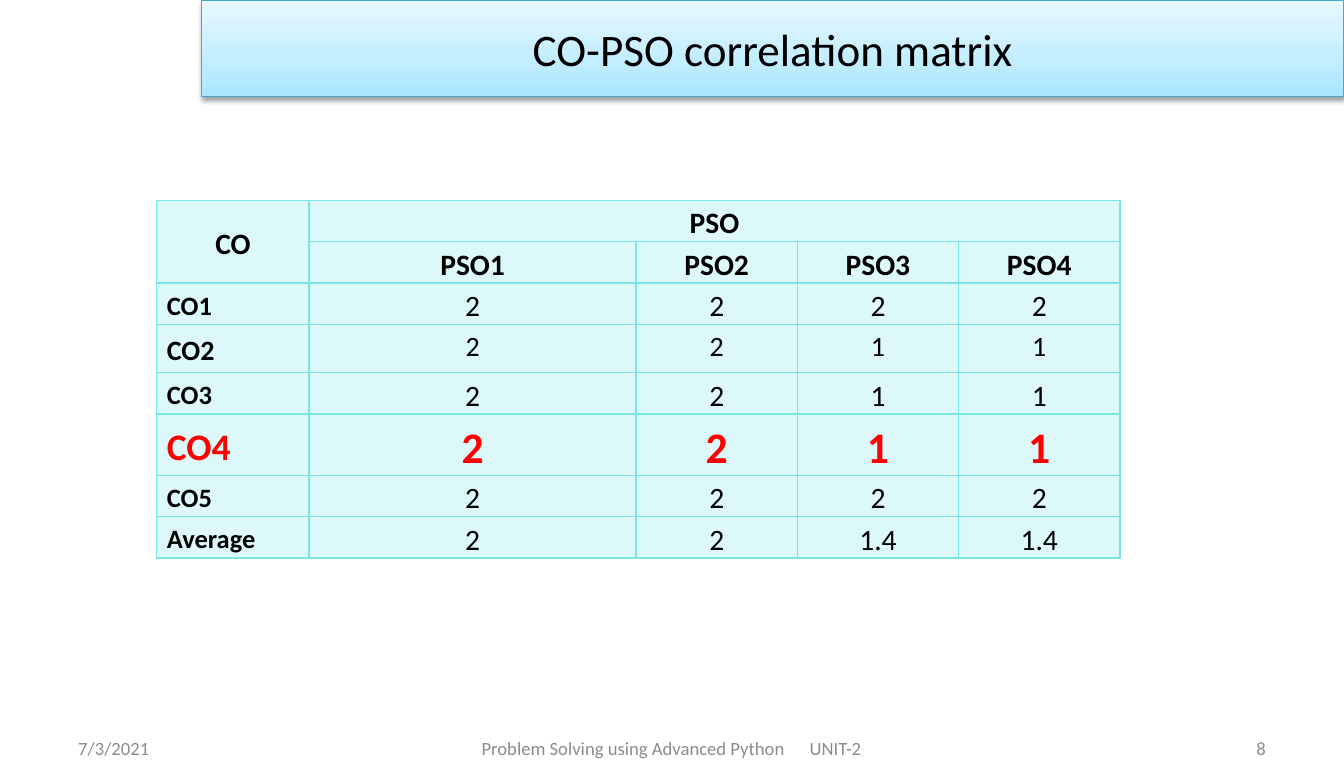
from lxml import etree
from pptx import Presentation
from pptx.dml.color import RGBColor
from pptx.enum import text
from pptx.oxml import parse_xml
from pptx.oxml.ns import nsdecls, qn
from pptx.util import Inches, Pt

TITLE = "CO-PSO correlation matrix"
DATE, PAGE_NUMBER = "7/3/2021", "8"
FOOTER = "Problem Solving using Advanced Python\tUNIT-2"
MATRIX = [
    ("CO", "PSO", "", "", ""),
    ("", "PSO1", "PSO2", "PSO3", "PSO4"),
    ("CO1", "2", "2", "2", "2"),
    ("CO2", "2", "2", "1", "1"),
    ("CO3", "2", "2", "1", "1"),
    ("CO4", "2", "2", "1", "1"),
    ("CO5", "2", "2", "2", "2"),
    ("Average", "2", "2", "1.4", "1.4"),
]
HEADER_ROWS = 2
COLUMN_WIDTHS = [1.36, 2.92, 1.44, 1.44, 1.44]
ROW_HEIGHTS = [0.36, 0.37, 0.37, 0.43, 0.37, 0.54, 0.37, 0.37]
LABEL_SIZES = {"CO": 19, "CO2": 18, "CO4": 24}
VALUE_SIZES = {"CO2": 18, "CO4": 28}
CURRENT_OUTCOME = "CO4"
TEAL, BLACK, RED, GREY = "7BE5E5", "000000", "FF0000", "8C8C8C"
TITLE_STOPS = [(0, "A7E6FF"), (35, "C1EDFF"), (100, "E7F8FF")]
LEFT, CENTER, RIGHT = text.PP_ALIGN.LEFT, text.PP_ALIGN.CENTER, text.PP_ALIGN.RIGHT
MIDDLE, TOP = text.MSO_ANCHOR.MIDDLE, text.MSO_ANCHOR.TOP


def color(hex_string):
    return RGBColor.from_string(hex_string)


def write(para, words, size, hex_color, align, bold=False):
    para.alignment = align
    span = para.add_run()
    span.text = words
    span.font.name = "Calibri"
    span.font.size = Pt(size)
    span.font.bold = bold
    span.font.color.rgb = color(hex_color)


def add_title(page):
    box = page.shapes.title
    box.left, box.top, box.width, box.height = map(Inches, (1.8, 0, 10.2, 0.86))
    box.line.color.rgb = color("46AAC5")
    box.line.width = Pt(0.75)
    stops = "".join(f'<a:gs pos="{pos * 1000}"><a:srgbClr val="{shade}"/></a:gs>'
                    for pos, shade in TITLE_STOPS)
    gradient = parse_xml(f'<a:gradFill {nsdecls("a")} rotWithShape="1"><a:gsLst>{stops}</a:gsLst>'
                         '<a:lin ang="16200000" scaled="0"/></a:gradFill>')
    outline = box.line._ln
    outline.addprevious(gradient)
    outline.addnext(parse_xml(
        f'<a:effectLst {nsdecls("a")}><a:outerShdw blurRad="{Pt(3.1)}" dist="{Pt(1.6)}" '
        'dir="5400000" rotWithShape="0"><a:srgbClr val="000000"><a:alpha val="38000"/>'
        '</a:srgbClr></a:outerShdw></a:effectLst>'))
    frame = box.text_frame
    frame.auto_size = text.MSO_AUTO_SIZE.NONE
    frame.vertical_anchor = MIDDLE
    write(frame.paragraphs[0], TITLE, 29, BLACK, CENTER)


def style_cell(cell, anchor):
    cell.margin_left = cell.margin_right = Inches(0.09)
    cell.margin_top = cell.margin_bottom = 0
    cell.vertical_anchor = anchor
    properties = cell._tc.get_or_add_tcPr()
    for side in ("lnL", "lnR", "lnT", "lnB"):
        properties.append(parse_xml(
            f'<a:{side} {nsdecls("a")} w="{Pt(1)}"><a:solidFill><a:srgbClr val="{TEAL}"/>'
            f'</a:solidFill></a:{side}>'))
    cell.fill.solid()
    cell.fill.fore_color.rgb = color(TEAL)
    shade = properties.find(qn("a:solidFill")).find(qn("a:srgbClr"))
    etree.SubElement(shade, qn("a:alpha")).set("val", "25000")


def add_matrix(page):
    frame = page.shapes.add_table(
        len(MATRIX), len(COLUMN_WIDTHS), Inches(1.4), Inches(1.79),
        Inches(sum(COLUMN_WIDTHS)), Inches(sum(ROW_HEIGHTS)))
    table = frame.table
    table.first_row = table.horz_banding = False
    for column, width in zip(table.columns, COLUMN_WIDTHS):
        column.width = Inches(width)
    for row, height in zip(table.rows, ROW_HEIGHTS):
        row.height = Inches(height)
    for r, entries in enumerate(MATRIX):
        outcome = entries[0]
        current = outcome == CURRENT_OUTCOME
        for c, words in enumerate(entries):
            cell = table.cell(r, c)
            is_label, is_header = c == 0, r < HEADER_ROWS
            style_cell(cell, MIDDLE if is_label else TOP)
            if not words:
                continue
            size = LABEL_SIZES.get(outcome, 17) if is_label else VALUE_SIZES.get(outcome, 19)
            para = cell.text_frame.paragraphs[0]
            para.line_spacing = 1.15
            write(para, words, size, RED if current else BLACK,
                  LEFT if is_label and not is_header else CENTER,
                  is_label or is_header or current)
    table.cell(0, 0).merge(table.cell(1, 0))
    table.cell(0, 1).merge(table.cell(0, 4))


def add_footer(page, words, left, width, align, inset=0.1, tab=None):
    box = page.shapes.add_textbox(Inches(left), Inches(6.49), Inches(width), Inches(0.37))
    frame = box.text_frame
    frame.word_wrap = True
    frame.vertical_anchor = MIDDLE
    frame.margin_left = Inches(inset)
    para = frame.paragraphs[0]
    if tab:
        para._p.get_or_add_pPr().append(parse_xml(
            f'<a:tabLst {nsdecls("a")}><a:tab pos="{Inches(tab)}" algn="l"/></a:tabLst>'))
    write(para, words, 12, GREY, align)


def main():
    deck = Presentation()
    deck.slide_width, deck.slide_height = Inches(12), Inches(7)
    page = deck.slides.add_slide(deck.slide_layouts.get_by_name("Title Only"))
    add_title(page)
    add_matrix(page)
    add_footer(page, DATE, 0.6, 2.8, LEFT)
    add_footer(page, FOOTER, 4.1, 3.8, LEFT, inset=0.2, tab=2.93)
    add_footer(page, PAGE_NUMBER, 8.6, 2.8, RIGHT)
    deck.save("out.pptx")


if __name__ == "__main__":
    main()
